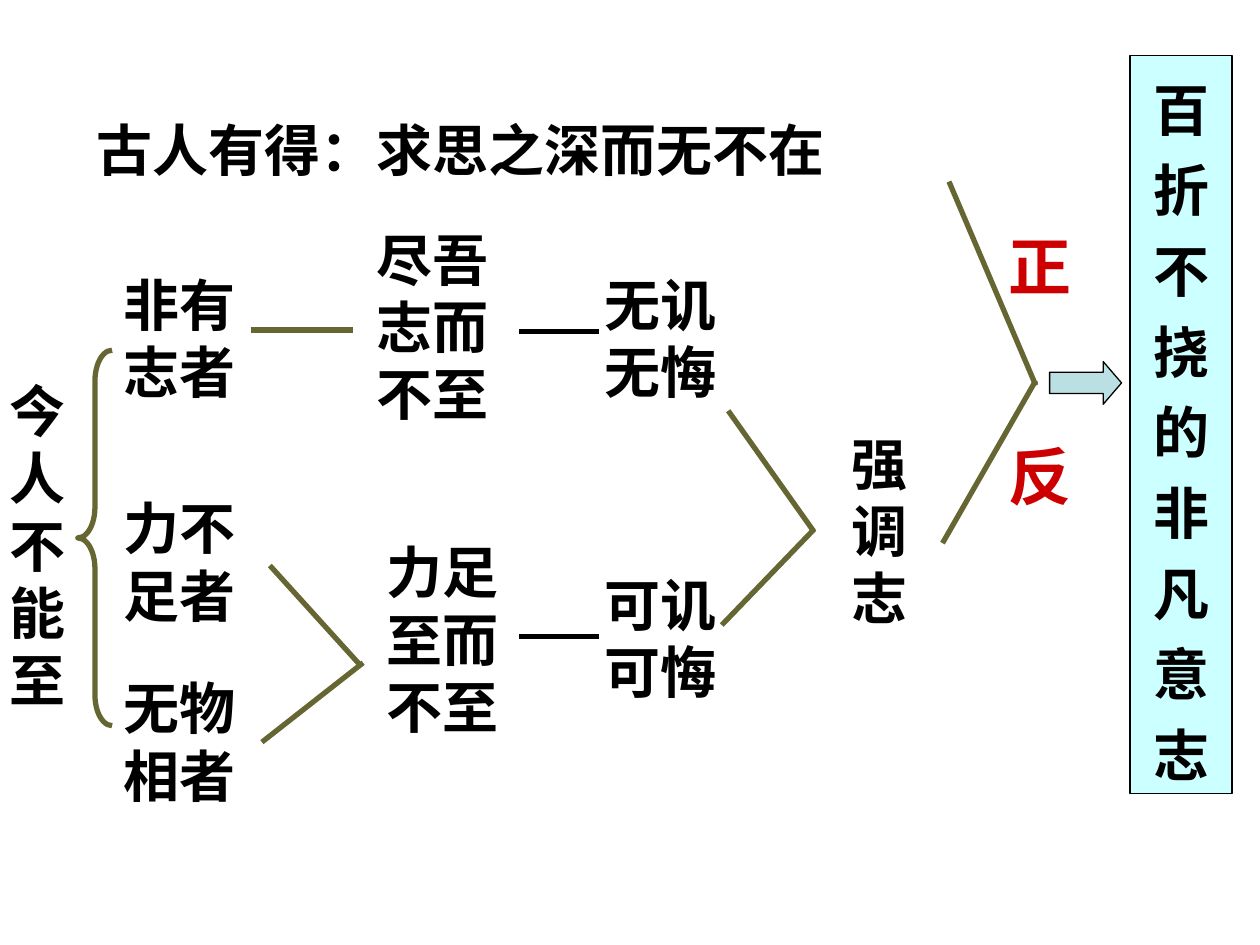
"""Build a diagram slide on how the ancients and people today differ in will."""
import pptx
import pptx.enum.shapes
import pptx.enum.text
import pptx.util
from lxml import etree
from pptx.oxml.ns import qn
from pptx.util import Cm, Pt

COLOURS = {
    "text": "000000",
    "contrast": "CC0000",
    "branch": "666633",
    "arrow": "BBE0E3",
    "conclusion": "CCFFFF",
}
BODY_FONT = "Times New Roman"
CONCLUSION_FONT = "Noto Sans CJK SC"
LEFT = pptx.enum.text.PP_ALIGN.LEFT
CENTER = pptx.enum.text.PP_ALIGN.CENTER
PRESET = pptx.enum.shapes.MSO_SHAPE

PHRASES = [
    ("今人不\n能\n至", -0.05, 7.47, 2.06, 7.04, LEFT),
    ("非有志者", 2.24, 5.33, 3.38, 2.97, LEFT),
    ("力不足者", 2.24, 9.83, 3.15, 2.97, LEFT),
    ("无物相者", 2.24, 13.46, 3.1, 2.97, LEFT),
    ("尽吾志而不至", 7.34, 4.42, 3.1, 4.32, LEFT),
    ("力足至而不至", 7.39, 10.72, 3.07, 4.32, CENTER),
    ("无讥无悔", 11.94, 5.33, 3.28, 2.97, LEFT),
    ("可讥可悔", 11.94, 11.38, 3.15, 2.97, LEFT),
    ("强调志", 16.92, 8.53, 1.78, 4.32, LEFT),
    ("古人有得：求思之深而无不在", 1.7, 2.21, 18.49, 1.63, LEFT),
]
LINKS = [
    (5.05, 6.65, 7.11, "branch"),
    (10.46, 6.68, 12.07, "text"),
    (10.46, 12.83, 12.07, "text"),
]
MERGES = [
    ((5.44, 11.4, 7.29, 13.44), (5.28, 14.96, 7.32, 13.36)),
    ((14.68, 8.28, 16.41, 10.72), (14.55, 12.6, 16.41, 10.67)),
    ((19.13, 3.66, 20.88, 7.77), (19, 10.95, 20.88, 7.67)),
]


def rgb(name):
    return pptx.dml.color.RGBColor.from_string(COLOURS[name])


def write(shape, text, size, colour="text", font=BODY_FONT, align=LEFT):
    frame = shape.text_frame
    frame.text = text
    frame.word_wrap = True
    frame.auto_size = pptx.enum.text.MSO_AUTO_SIZE.SHAPE_TO_FIT_TEXT
    frame.vertical_anchor = pptx.enum.text.MSO_ANCHOR.TOP
    for paragraph in frame.paragraphs:
        paragraph.alignment = align
        paragraph.font.name = font
        paragraph.font.size = Pt(size)
        paragraph.font.bold = True
        paragraph.font.color.rgb = rgb(colour)


def add_phrase(slide, text, left, top, width, height, align=LEFT, size=32, colour="text"):
    phrase = slide.shapes.add_textbox(Cm(left), Cm(top), Cm(width), Cm(height))
    write(phrase, text, size, colour, align=align)


def add_line(shapes, x1, y1, x2, y2, colour="branch"):
    line = shapes.add_connector(
        pptx.enum.shapes.MSO_CONNECTOR.STRAIGHT, Cm(x1), Cm(y1), Cm(x2), Cm(y2)
    )
    line.line.color.rgb = rgb(colour)
    line.line.width = Pt(3)
    etree.SubElement(line._element.spPr, qn("a:effectLst"))


def add_preset(slide, preset, left, top, width, height, fill=None, line="text", weight=0.75):
    shape = slide.shapes.add_shape(preset, Cm(left), Cm(top), Cm(width), Cm(height))
    shape.shadow.inherit = False
    if fill:
        shape.fill.solid()
        shape.fill.fore_color.rgb = rgb(fill)
    else:
        shape.fill.background()
    shape.line.color.rgb = rgb(line)
    shape.line.width = Pt(weight)
    return shape


def main():
    deck = pptx.Presentation()
    deck.slide_width, deck.slide_height = Cm(25.4), Cm(19.05)
    slide = deck.slides.add_slide(deck.slide_layouts[6])

    for phrase in PHRASES:
        add_phrase(slide, *phrase)
    for verdict, top in (("正", 4.47), ("反", 8.69)):
        add_phrase(slide, verdict, 20.09, top, 3.28, 1.78, size=36, colour="contrast")

    brace = add_preset(slide, PRESET.LEFT_BRACE, 1.57, 7.06, 0.69, 7.57, line="branch", weight=3)
    brace.adjustments[0] = 0.9
    for start, level, end, colour in LINKS:
        add_line(slide.shapes, start, level, end, level, colour)
    for merge in MERGES:
        pair = slide.shapes.add_group_shape()
        for arm in merge:
            add_line(pair.shapes, *arm)

    arrow = add_preset(slide, PRESET.RIGHT_ARROW, 21.16, 7.29, 1.45, 0.86, "arrow")
    arrow.adjustments[1] = 0.43
    conclusion = add_preset(slide, PRESET.RECTANGLE, 22.78, 1.12, 2.06, 14.88, "conclusion")
    write(conclusion, "百折不挠的非凡意志", 32, font=CONCLUSION_FONT, align=CENTER)
    conclusion.text_frame.paragraphs[0].line_spacing = 1.2

    deck.save("out.pptx")


if __name__ == "__main__":
    main()
